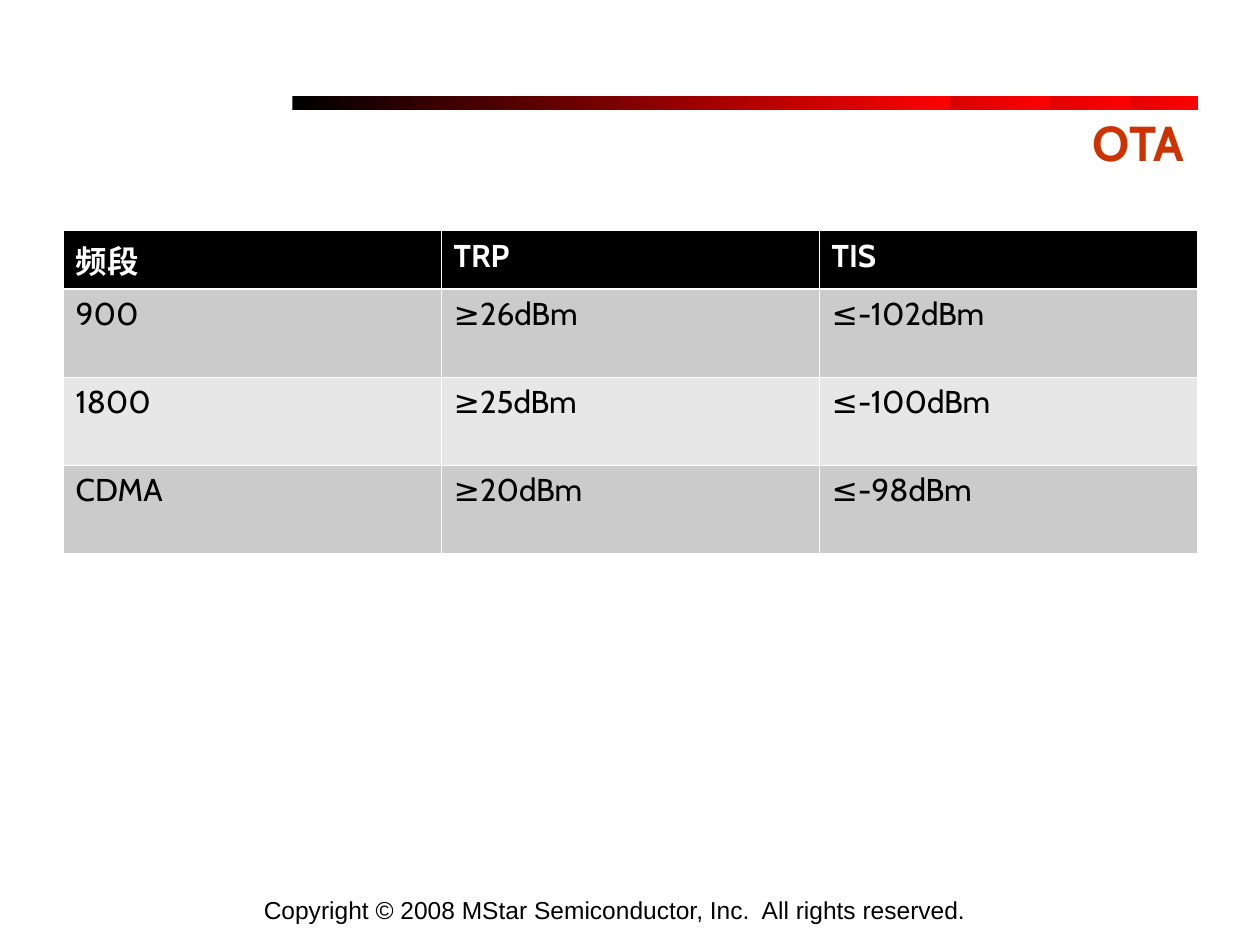
from dataclasses import dataclass

from lxml.etree import SubElement
from pptx import Presentation
from pptx.dml.color import RGBColor
from pptx.enum.shapes import MSO_SHAPE
from pptx.enum.text import MSO_ANCHOR, PP_ALIGN
from pptx.oxml.ns import qn
from pptx.util import Inches, Pt


@dataclass(frozen=True)
class Theme:
    title_color: str = "CC3300"
    black: str = "000000"
    white: str = "FFFFFF"
    red: str = "FF0000"
    bands: tuple = ("CBCBCB", "E7E7E7")
    heading_font: str = "Cabin"
    footer_font: str = "Arial"
    title_size: int = 28
    table_size: int = 18
    footer_size: int = 14
    thin_border: float = 0.45
    thick_border: float = 1.47


THEME = Theme()
BAR_LEFTS = (4.29, 3.74, 3.11, 2.32)
BAND_ROWS = (
    ("频段", "TRP", "TIS"),
    ("900", "≥26dBm", "≤-102dBm"),
    ("1800", "≥25dBm", "≤-100dBm"),
    ("CDMA", "≥20dBm", "≤-98dBm"),
)
COPYRIGHT = "Copyright © 2008 MStar Semiconductor, Inc.  All rights reserved."


def format_paragraph(paragraph, name, size, color, bold=False, alignment=PP_ALIGN.LEFT):
    paragraph.alignment = alignment
    font = paragraph.font
    font.name, font.size, font.bold = name, Pt(size), bold
    font.color.rgb = RGBColor.from_string(color)


def add_gradient_bar(slide, left):
    bar = slide.shapes.add_shape(
        MSO_SHAPE.RECTANGLE, Inches(left), Inches(0.76), Inches(5.22), Inches(0.11))
    bar.shadow.inherit = False
    bar.line.fill.background()
    bar.fill.gradient()
    bar.fill.gradient_angle = 0
    stops = bar.fill.gradient_stops
    for stop, position, color in zip(stops, (0, 1), (THEME.black, THEME.red)):
        stop.position = position
        stop.color.rgb = RGBColor.from_string(color)


def set_title(slide, text):
    title = slide.shapes.title
    title.left, title.top = Inches(0.5), Inches(1.07)
    title.width, title.height = Inches(9), Inches(0.55)
    frame = title.text_frame
    frame.text = text
    frame.vertical_anchor = MSO_ANCHOR.MIDDLE
    # The bottom margin lifts the title towards the bar
    frame.margin_top, frame.margin_bottom = 0, Inches(0.44)
    format_paragraph(frame.paragraphs[0], THEME.heading_font, THEME.title_size,
                     THEME.title_color, True, PP_ALIGN.RIGHT)


def set_borders(cell, widths):
    properties = cell._tc.get_or_add_tcPr()
    for index, (side, width) in enumerate(widths.items()):
        line = SubElement(properties, qn(f"a:ln{side}"), w=str(Pt(width)))
        fill = SubElement(line, qn("a:solidFill"))
        SubElement(fill, qn("a:srgbClr"), val=THEME.white)
        properties.insert(index, line)


def add_band_table(slide):
    table = slide.shapes.add_table(
        len(BAND_ROWS), 3, Inches(0.5), Inches(1.83), Inches(9), Inches(2.5)).table
    for row_index, texts in enumerate(BAND_ROWS):
        header = row_index == 0
        table.rows[row_index].height = Inches(0.4 if header else 0.7)
        fill = THEME.black if header else THEME.bands[(row_index - 1) % 2]
        widths = dict.fromkeys("LRTB", THEME.thin_border)
        # A thicker rule separates the header from the body
        if row_index < 2:
            widths["B" if header else "T"] = THEME.thick_border
        for cell, text in zip(table.rows[row_index].cells, texts):
            cell.text = text
            cell.fill.solid()
            cell.fill.fore_color.rgb = RGBColor.from_string(fill)
            set_borders(cell, widths)
            format_paragraph(cell.text_frame.paragraphs[0], THEME.heading_font,
                             THEME.table_size, THEME.white if header else THEME.black, header)


def add_footer(slide, text):
    footer = slide.shapes.add_textbox(Inches(1.14), Inches(6.82), Inches(7.48), Inches(0.52))
    frame = footer.text_frame
    frame.word_wrap = True
    frame.vertical_anchor = MSO_ANCHOR.BOTTOM
    frame.margin_bottom = 0
    frame.text = text
    format_paragraph(frame.paragraphs[0], THEME.footer_font, THEME.footer_size,
                     THEME.black, alignment=PP_ALIGN.CENTER)


def main():
    presentation = Presentation()
    presentation.slide_width, presentation.slide_height = Inches(10), Inches(7.5)
    slide = presentation.slides.add_slide(presentation.slide_layouts[5])

    # Overlapping bars above the title
    for left in BAR_LEFTS:
        add_gradient_bar(slide, left)

    # Title, table and copyright line
    set_title(slide, "OTA")
    add_band_table(slide)
    add_footer(slide, COPYRIGHT)

    presentation.save("out.pptx")


if __name__ == "__main__":
    main()
